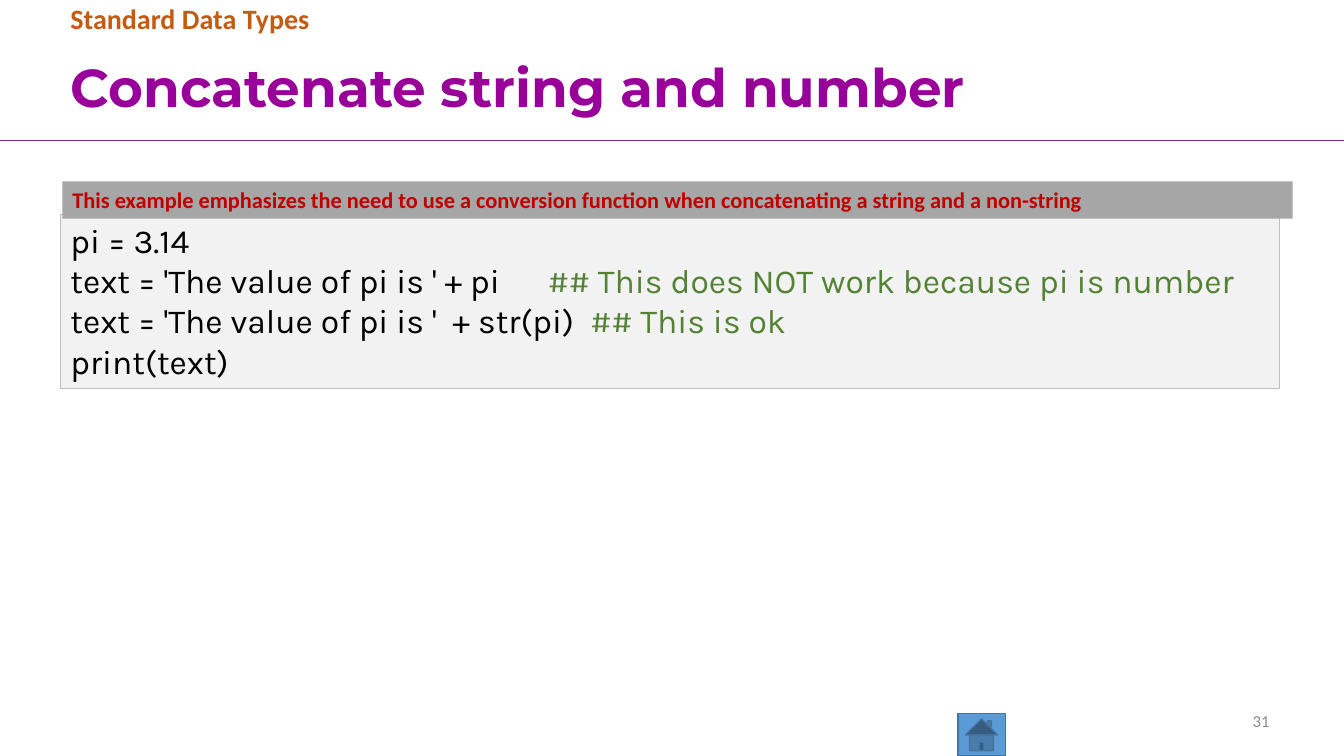
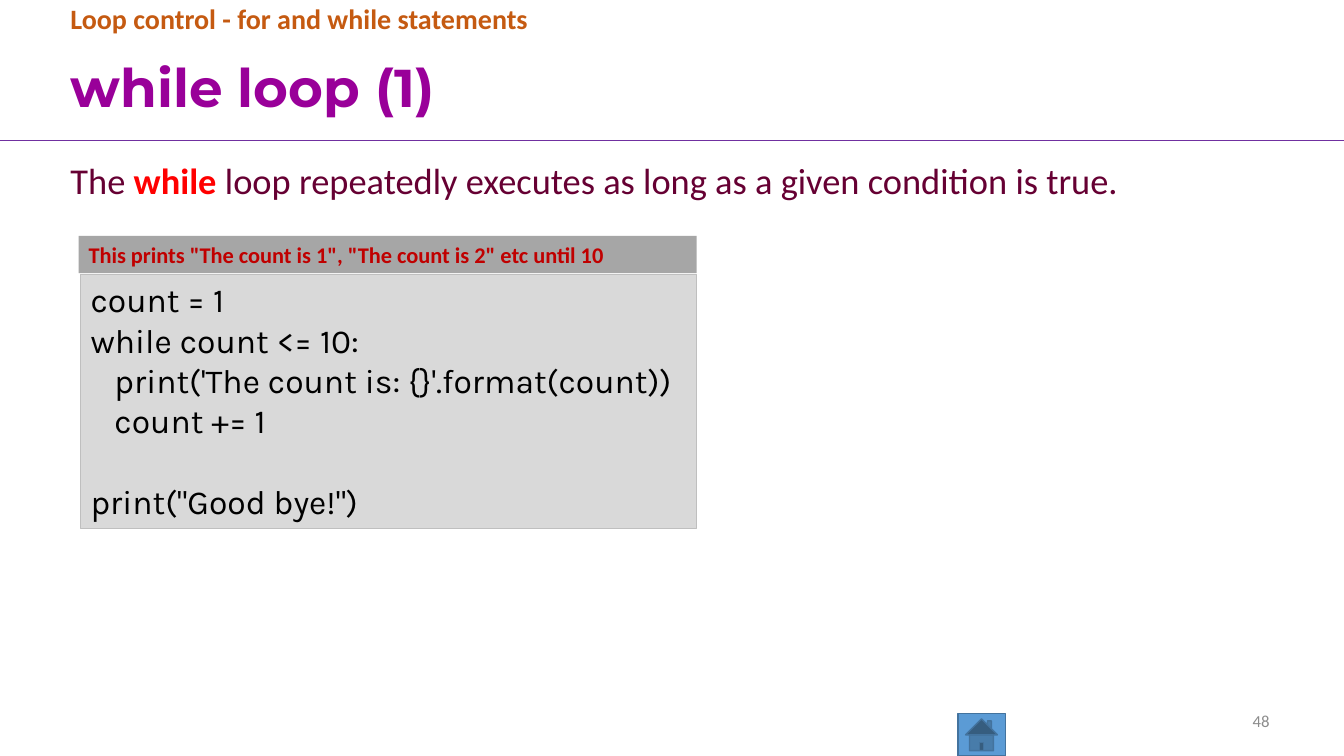
from lxml.etree import SubElement
from pptx import Presentation
from pptx.dml.color import RGBColor
from pptx.enum.shapes import MSO_CONNECTOR, MSO_SHAPE
from pptx.enum.text import MSO_ANCHOR, PP_ALIGN
from pptx.oxml.ns import qn
from pptx.util import Inches, Pt


class Theme:
    body_font, title_font, code_font = "Calibri", "Montserrat", "Karla"
    title_size, lead_size, code_size, section_size, banner_size, number_size = 38, 26, 24, 20, 16, 12
    title, section, lead, keyword = "990099", "C55A11", "660033", "FF0000"
    code, comment, banner_text, number = "000000", "548235", "C00000", "8C8C8C"
    banner, code_line, rule = "A6A6A6", "BFBFBF", "7030A0"
    button, button_line = "5B9BD5", "43739E"
    left, width = 0.6, 12.09
    code_gap = 28.8


def add_text(slide, place, paragraphs, *, size, color, font=Theme.body_font, bold=False,
             align=PP_ALIGN.LEFT, anchor=MSO_ANCHOR.TOP, spacing=None, fill=None, line=None):
    """Each paragraph is a list of (text, colour, bold) runs; None keeps the default.

    A number in place of a paragraph is the space in points before the next one.
    """
    box = [Inches(length) for length in place]
    if fill:
        shape = slide.shapes.add_shape(MSO_SHAPE.RECTANGLE, *box)
        paint(shape, fill, line)
    else:
        shape = slide.shapes.add_textbox(*box)
    frame = shape.text_frame
    frame.word_wrap = True
    frame.vertical_anchor = anchor
    paragraph, gap = None, None
    for content in paragraphs:
        if isinstance(content, (int, float)):
            gap = Pt(content)
            continue
        paragraph = frame.add_paragraph() if paragraph else frame.paragraphs[0]
        paragraph.alignment = align
        paragraph.line_spacing = spacing
        paragraph.space_before, gap = gap, None
        runs = [(content, None, None)] if isinstance(content, str) else content
        for text, run_color, run_bold in runs:
            run = paragraph.add_run()
            run.text = text
            run.font.name = font
            run.font.size = Pt(size)
            run.font.bold = bold if run_bold is None else run_bold
            run.font.color.rgb = RGBColor.from_string(run_color or color)


def paint(shape, fill, line=None, line_width=0.75):
    shape.shadow.inherit = False
    shape.fill.solid()
    shape.fill.fore_color.rgb = RGBColor.from_string(fill)
    if line:
        shape.line.color.rgb = RGBColor.from_string(line)
        shape.line.width = Pt(line_width)
    else:
        shape.line.fill.background()


pages = [
    {
        "section": "Standard Data Types",
        "title": "Concatenate string and number",
        "number": "31",
        "lead": None,
        "code_place": (0.6, 2.13, 12.09, 1.72),
        "code_fill": "F2F2F2",
        "code": [
            "pi = 3.14",
            [("text = 'The value of pi is ' + pi      ", None, None),
             ("## This does NOT work because pi is number", Theme.comment, None)],
            [("text = 'The value of pi is '  + str(pi)  ", None, None),
             ("## This is ok", Theme.comment, None)],
            "print(text)",
        ],
        "banner_place": (0.62, 1.8, 12.2, 0.37),
        "banner": "This example emphasizes the need to use a conversion function "
                  "when concatenating a string and a non-string",
    },
    {
        "section": "Loop control - for and while statements",
        "title": "while loop (1)",
        "number": "48",
        "lead": [("The ", None, None), ("while", Theme.keyword, True),
                 (" loop repeatedly executes as long as a given condition is true.", None, None)],
        "code_place": (0.8, 2.72, 6.11, 2.52),
        "code_fill": "D9D9D9",
        "code": [
            "count = 1",
            "while count <= 10:",
            "   print('The count is: {}'.format(count))",
            "   count += 1",
            Theme.code_gap,
            'print("Good bye!")',
        ],
        "banner_place": (0.78, 2.34, 6.13, 0.37),
        "banner": 'This prints "The count is 1", "The count is 2" etc until 10',
    },
]

presentation = Presentation()
presentation.slide_width = Inches(13.33)
presentation.slide_height = Inches(7.5)
blank_layout = presentation.slide_layouts[6]

for page in pages:
    slide = presentation.slides.add_slide(blank_layout)

    rule = slide.shapes.add_connector(
        MSO_CONNECTOR.STRAIGHT, 0, Inches(1.39), presentation.slide_width, Inches(1.39))
    rule.line.color.rgb = RGBColor.from_string(Theme.rule)
    rule.line.width = Pt(0.5)
    SubElement(rule.line._get_or_add_ln().getparent(), qn("a:effectLst"))

    home_button = slide.shapes.add_shape(
        MSO_SHAPE.ACTION_BUTTON_HOME, Inches(9.5), Inches(7.08), Inches(0.47), Inches(0.42))
    paint(home_button, Theme.button, Theme.button_line, 1)

    add_text(slide, (Theme.left, 0.41, Theme.width, 0.97), [page["title"]],
             size=Theme.title_size, color=Theme.title, font=Theme.title_font, bold=True,
             anchor=MSO_ANCHOR.MIDDLE, spacing=0.9)
    add_text(slide, (9.42, 6.95, 3.27, 0.4), [page["number"]],
             size=Theme.number_size, color=Theme.number,
             align=PP_ALIGN.RIGHT, anchor=MSO_ANCHOR.MIDDLE)
    add_text(slide, (Theme.left, 0, 10.34, 0.41), [page["section"]],
             size=Theme.section_size, color=Theme.section, bold=True, spacing=0.9)
    if page["lead"]:
        add_text(slide, (Theme.left, 1.52, 12.28, 0.54), [page["lead"]],
                 size=Theme.lead_size, color=Theme.lead)
    add_text(slide, page["code_place"], page["code"],
             size=Theme.code_size, color=Theme.code, font=Theme.code_font,
             fill=page["code_fill"], line=Theme.code_line)
    add_text(slide, page["banner_place"], [page["banner"]],
             size=Theme.banner_size, color=Theme.banner_text, bold=True, fill=Theme.banner)

presentation.save("out.pptx")
